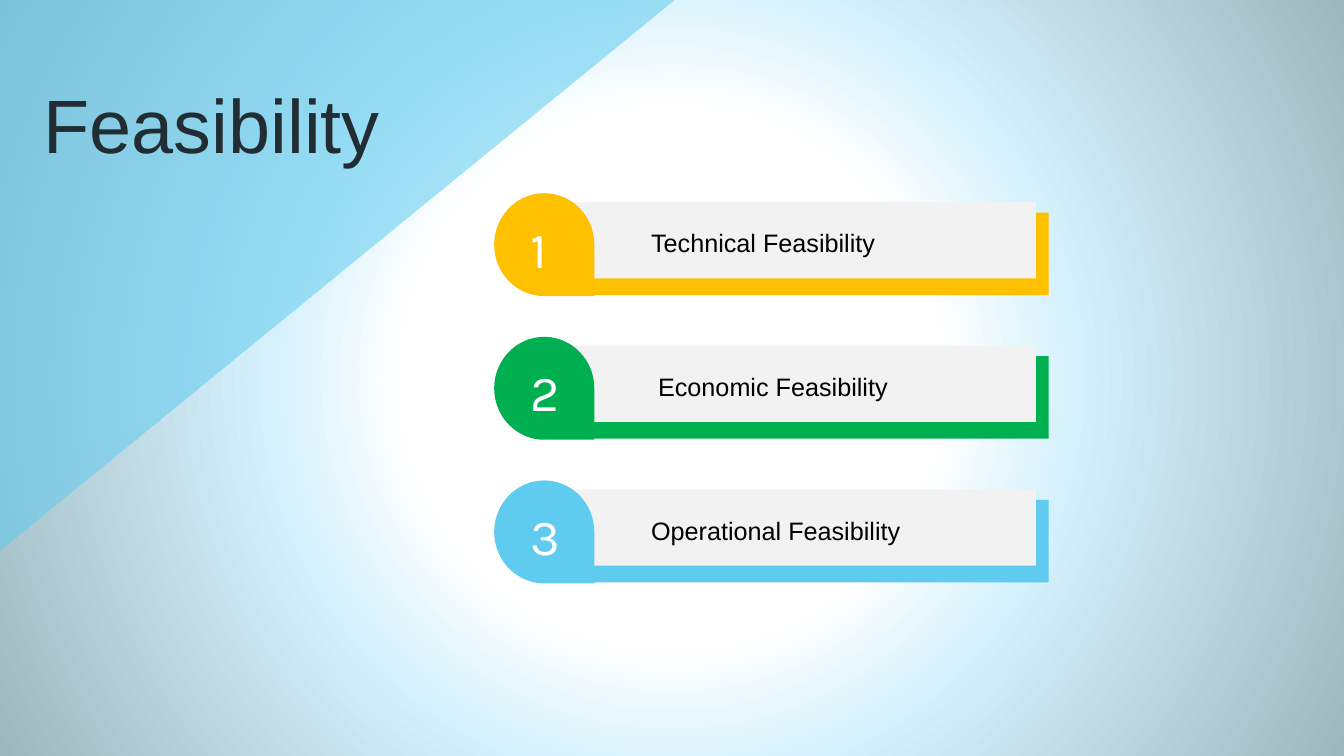
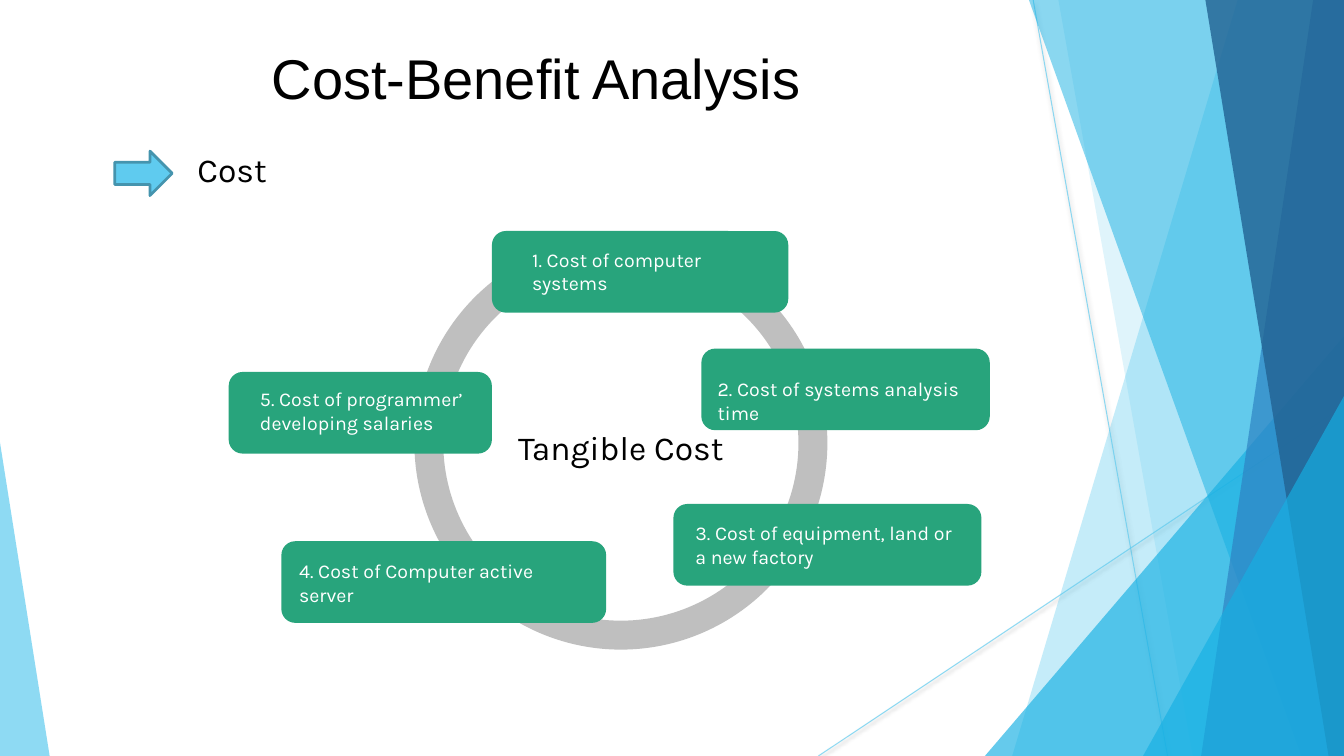
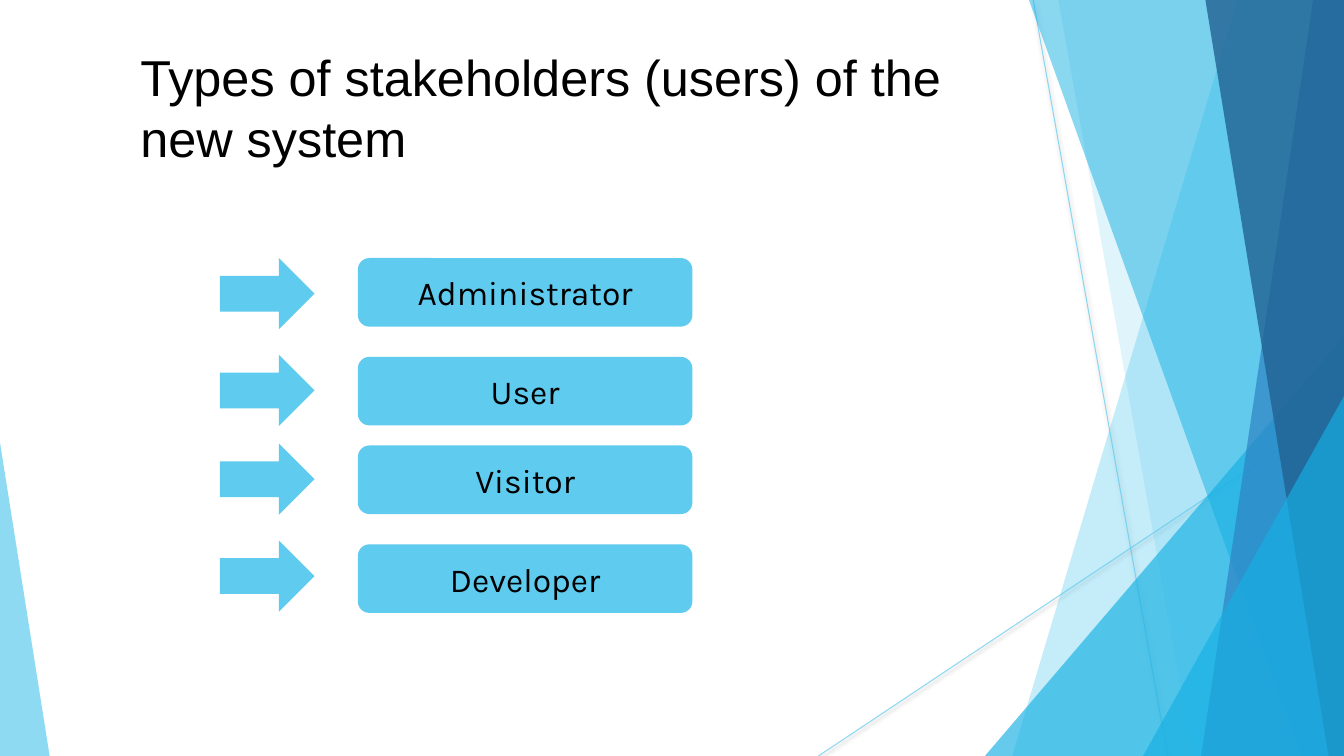
from lxml.etree import SubElement
from pptx import Presentation
from pptx.dml.color import RGBColor
from pptx.enum.shapes import MSO_CONNECTOR as LINE, MSO_SHAPE as SHAPE
from pptx.enum.text import MSO_ANCHOR as ANCHOR, MSO_AUTO_SIZE as AUTO, PP_ALIGN as ALIGN
from pptx.oxml import parse_xml
from pptx.oxml.ns import nsdecls, qn
from pptx.util import Pt

WIDTH, HEIGHT = 960, 540
SKY, AZURE, BLUE, NAVY = "5FCBEF", "16B0E3", "2E83C3", "226292"
GREEN, GOLD, TEAL = "00B050", "FFC000", "28A47C"
PALE, GREY, EDGE = "F2F2F2", "BFBFBF", "4594AE"
BLACK, WHITE, INK = "000000", "FFFFFF", "212D32"
HEAD_FONT, BODY_FONT = "Arial", "Karla"

FRAME = dict(word_wrap=True, vertical_anchor=ANCHOR.TOP, auto_size=AUTO.NONE,
             margin_left=Pt(7.2), margin_right=Pt(7.2),
             margin_top=Pt(3.6), margin_bottom=Pt(3.6))


def set_attrs(obj, values):
    for name, value in values.items():
        setattr(obj, name, value)


def paint(sp, fill, color, alpha=None):
    fill.solid()
    fill.fore_color.rgb = RGBColor.from_string(color)
    if alpha:
        clr = sp.element.xpath(".//a:srgbClr")[-1]
        SubElement(clr, qn("a:alpha")).set("val", str(alpha * 1000))


def finish(sp, color, alpha=None, edge=None):
    sp.shadow.inherit = False
    paint(sp, sp.fill, color, alpha)
    if edge:
        paint(sp, sp.line.fill, edge)
        sp.line.width = Pt(2)
    else:
        sp.line.fill.background()
    return sp


def add_preset(shapes, kind, box, color, alpha=None, adj=(), edge=None):
    sp = shapes.add_shape(kind, *map(Pt, box))
    for i, value in enumerate(adj):
        sp.adjustments[i] = value
    return finish(sp, color, alpha, edge)


def add_polygon(shapes, points, color, alpha):
    start, *rest = [(Pt(x), Pt(y)) for x, y in points]
    builder = shapes.build_freeform(*start)
    builder.add_line_segments(rest, close=True)
    return finish(builder.convert_to_shape(), color, alpha)


def add_shaded_line(shapes, ends):
    line = shapes.add_connector(LINE.STRAIGHT, *map(Pt, ends))
    paint(line, line.line.fill, SKY, 70)
    line.line.width = Pt(0.75)
    line.element.spPr.append(parse_xml(
        f'<a:effectLst {nsdecls("a")}>'
        f'<a:outerShdw blurRad="{Pt(3.1)}" dist="{Pt(1.6)}" dir="5400000" rotWithShape="0">'
        f'<a:srgbClr val="{BLACK}"><a:alpha val="38000"/></a:srgbClr>'
        '</a:outerShdw></a:effectLst>'))


def write(sp, text, size, font=BODY_FONT, color=BLACK, align=ALIGN.LEFT, **frame):
    tf = sp.text_frame
    set_attrs(tf, FRAME | frame)
    p = tf.paragraphs[0]
    p.alignment = align
    r = p.add_run()
    r.text = text
    set_attrs(r.font, dict(name=font, size=Pt(size)))
    r.font.color.rgb = RGBColor.from_string(color)


def add_text(s, box, text, size, **style):
    write(s.shapes.add_textbox(*map(Pt, box)), text, size,
          auto_size=AUTO.SHAPE_TO_FIT_TEXT, **style)


def set_title(s, box, text, size, color=BLACK):
    sp = s.shapes.title
    set_attrs(sp, dict(zip(("left", "top", "width", "height"), map(Pt, box))))
    write(sp, text, size, font=HEAD_FONT, color=color)


def add_round_box(s, box, color):
    return add_preset(s.shapes, SHAPE.ROUNDED_RECTANGLE, box, color, adj=[0.17])


def move_facets_to_layout(s):
    group = s.shapes.add_group_shape()
    shapes = group.shapes

    def band(top_x, bottom_x, color, alpha):
        corners = [(top_x, 0), (WIDTH, 0), (WIDTH, HEIGHT), (bottom_x, HEIGHT)]
        add_polygon(shapes, corners, color, alpha)

    def corner(x, y, w, color, alpha, tip):
        add_preset(shapes, SHAPE.ISOSCELES_TRIANGLE, (x, y, w, HEIGHT - y), color, alpha, [tip])

    add_shaded_line(shapes, (738, 0, 834, HEIGHT))
    add_shaded_line(shapes, (WIDTH, 290, 584.6, HEIGHT))
    band(884, 723, SKY, 36)
    band(756, 852, SKY, 20)
    corner(703.5, 240, 256.5, AZURE, 66, 1)
    band(735, 929.5, AZURE, 50)
    band(938, 858, BLUE, 70)
    band(861, 949, NAVY, 80)
    corner(816.5, 283, 143.5, AZURE, 66, 1)
    corner(0, 316, 35.5, SKY, 70, 0)
    for i, props in enumerate(group.element.xpath(".//p:cNvPr"), 100):
        props.set("id", str(i))
    s.slide_layout.shapes.element.insert(2, group.element)


def set_glow_background(s):
    s.background.fill.solid()
    solid = s.element.xpath(".//p:bgPr/a:solidFill")[0]
    stops = "".join(f'<a:gs pos="{pos * 1000}"><a:srgbClr val="{color}"/></a:gs>'
                    for pos, color in ((0, WHITE), (35, WHITE), (52, "D5F1FB"), (100, "9DB7BF")))
    solid.getparent().replace(solid, parse_xml(
        f'<a:gradFill {nsdecls("a")} rotWithShape="1"><a:gsLst>{stops}</a:gsLst>'
        '<a:path path="circle"><a:fillToRect l="50000" t="50000" r="50000" b="50000"/></a:path>'
        '</a:gradFill>'))


def feasibility_slide(prs):
    s = prs.slides.add_slide(prs.slide_layouts[0])
    subtitle = s.placeholders[1].element
    subtitle.getparent().remove(subtitle)
    set_glow_background(s)
    wedge = add_polygon(s.shapes, [(0, 0), (482, 0), (0, 393.5)], SKY, 55)
    s.shapes.element.insert(2, wedge.element)
    set_title(s, (24, 52, 325, 73), "Feasibility", 54, INK)
    rows = [("Technical Feasibility", 458, GOLD),
            ("Economic Feasibility", 463, GREEN),
            ("Operational Feasibility", 458, SKY)]
    for i, (label, label_x, color) in enumerate(rows):
        y = 139 + 102.6 * i
        add_preset(s.shapes, SHAPE.RECTANGLE, (395.5, y + 12.8, 353.5, 59), color)
        add_preset(s.shapes, SHAPE.RECTANGLE, (408, y + 5.3, 332, 54.5), PALE)
        add_text(s, (label_x, y + 20, 246, 29), label, 18, font=HEAD_FONT)
        drop = add_preset(s.shapes, SHAPE.TEAR, (352, y, 73.5, 71.5), color, adj=[1])
        drop.rotation = 90
        add_text(s, (372, y + 13, 26, 51), str(i + 1), 36, color=WHITE)


def cost_slide(prs):
    s = prs.slides.add_slide(prs.slide_layouts[5])
    move_facets_to_layout(s)
    set_title(s, (187, 27.4, 407, 55.5), "Cost-Benefit Analysis", 40)
    add_preset(s.shapes, SHAPE.RIGHT_ARROW, (82, 108, 41, 31.7), SKY, edge=EDGE)
    add_preset(s.shapes, SHAPE.DONUT, (296, 169, 295, 295), GREY, adj=[0.07])
    costs = [("1. Cost of computer systems", (351.4, 165, 211.7), (373, 173.5, 177)),
             ("2. Cost of systems analysis time", (501, 249, 206), (505.5, 265.7, 201.6)),
             ("5. Cost of programmer’ developing salaries", (163.4, 265.7, 188), (178.6, 273, 190)),
             ("3. Cost of equipment, land or a new factory", (481, 360, 220), (489.6, 368.6, 198.7)),
             ("4. Cost of Computer active server", (201, 386.6, 232), (206.6, 396, 201.6))]
    for text, box, text_box in costs:
        add_round_box(s, (*box, 58.3), TEAL)
        add_text(s, (*text_box, 41), text, 14, color=WHITE)
    add_text(s, (134, 103, 136, 36), "Cost", 24)
    add_text(s, (363, 301.7, 161, 36), "Tangible Cost", 24)


def stakeholder_slide(prs):
    s = prs.slides.add_slide(prs.slide_layouts[5])
    set_title(s, (93, 29.5, 623, 94.3), "Types of stakeholders (users) of the new system", 36)
    users = [("Administrator", 184.3, 184.3), ("User", 253.4, 254.9),
             ("Visitor", 316.8, 318.2), ("Developer", 386, 388.8)]
    for name, arrow_y, box_y in users:
        add_preset(s.shapes, SHAPE.RIGHT_ARROW, (157, arrow_y, 67.7, 51), SKY)
        box = add_round_box(s, (255.6, box_y, 239, 49), SKY)
        write(box, name, 24, align=ALIGN.CENTER, vertical_anchor=ANCHOR.MIDDLE)


def main():
    prs = Presentation()
    set_attrs(prs, dict(slide_width=Pt(WIDTH), slide_height=Pt(HEIGHT)))
    feasibility_slide(prs)
    cost_slide(prs)
    stakeholder_slide(prs)
    prs.save("out.pptx")


if __name__ == "__main__":
    main()
